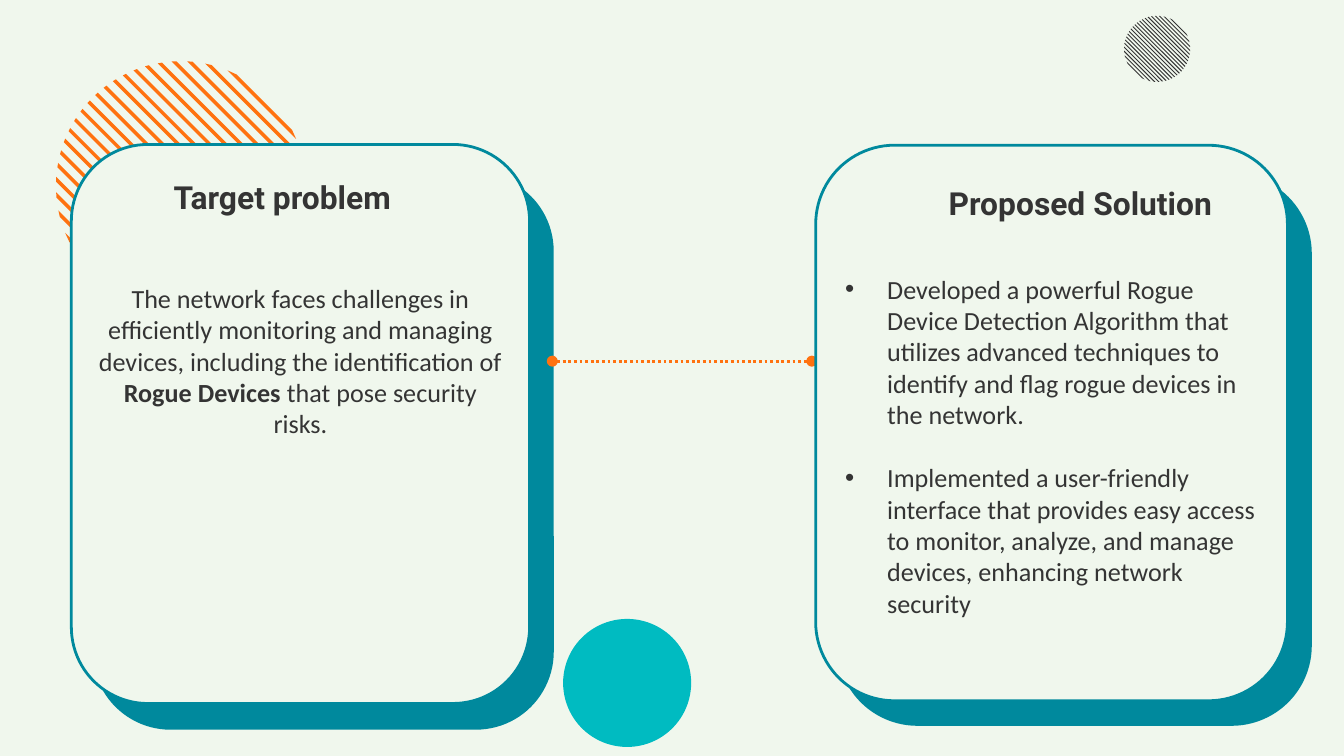
from math import sqrt
from lxml import etree
from pptx import Presentation
from pptx.dml.color import RGBColor
from pptx.enum.dml import MSO_LINE
from pptx.enum.shapes import MSO_CONNECTOR, MSO_SHAPE
from pptx.enum.text import PP_ALIGN
from pptx.oxml.ns import qn
from pptx.util import Pt

INK, TEAL, PALE, ORANGE = "343434", "00899D", "F0F7ED", "FF7210"


def paint(shape, color, edge=None):
    shape.shadow.inherit = False
    shape.fill.solid()
    shape.fill.fore_color.rgb = RGBColor.from_string(color)
    if edge:
        shape.line.color.rgb = RGBColor.from_string(edge)
        shape.line.width = Pt(1.5)
    else:
        shape.line.fill.background()


def write(box, paras, face, size, align, bold=False):
    frame = slide.shapes.add_textbox(*map(Pt, box)).text_frame
    frame.word_wrap = True
    frame.margin_left = frame.margin_right = Pt(7.2)
    frame.margin_top = frame.margin_bottom = Pt(7.2)
    for i, text in enumerate(paras):
        para = frame.add_paragraph() if i else frame.paragraphs[0]
        para.alignment = align
        if i:
            para.space_before = Pt(17)
        if len(paras) > 1:
            props = para._p.get_or_add_pPr()
            props.set("marL", str(Pt(22.5)))
            props.set("indent", str(-Pt(22.5)))
            tint = etree.SubElement(props, qn("a:buClr"))
            etree.SubElement(tint, qn("a:srgbClr"), val=INK)
            etree.SubElement(props, qn("a:buFont"), typeface="Arial")
            etree.SubElement(props, qn("a:buChar"), char="•")
        font = para.font
        font.name, font.size, font.bold = face, Pt(size), bold
        font.color.rgb = RGBColor.from_string(INK)
        for j, part in enumerate(text.split("**")):
            run = para.add_run()
            run.text = part
            if j % 2:
                run.font.bold = True


deck = Presentation()
deck.slide_width, deck.slide_height = Pt(720), Pt(405)
slide = deck.slides.add_slide(deck.slide_layouts[6])
slide.background.fill.solid()
slide.background.fill.fore_color.rgb = RGBColor.from_string(PALE)

disc = slide.shapes.add_shape(MSO_SHAPE.OVAL, Pt(301.7), Pt(331.6), Pt(68.6), Pt(68.6))
paint(disc, "00BBC1")

for x, y, r, color in [(619.9, 26.2, 17.7, INK), (96.8, 99.6, 66.8, ORANGE)]:
    group = slide.shapes.add_group_shape()
    for i in range(22):
        mid = (i - 10.5) * 0.126 * r
        ends = []
        for off, signs in [(mid - 0.02 * r, (-1, 1)), (mid + 0.02 * r, (1, -1))]:
            half = sqrt(r * r - off * off / 2) / sqrt(2)
            for sign in signs:
                ends.append((Pt(x + off / 2 + sign * half), Pt(y - off / 2 + sign * half)))
        path = group.shapes.build_freeform(*ends[0])
        path.add_line_segments(ends[1:], close=True)
        paint(path.convert_to_shape(), color)

cards = [
    [(50.4, 93.6, 245.5, 296.6, TEAL), (38.2, 77.4, 245.5, 299.5, PALE)],
    [(449.3, 93.6, 252.7, 294.5, TEAL), (437, 77.8, 252.7, 297.6, PALE)],
]
for i, pair in enumerate(cards):
    if i:
        link = slide.shapes.add_connector(
            MSO_CONNECTOR.STRAIGHT, Pt(295.9), Pt(193.5), Pt(434.9), Pt(193.5))
        link.line.color.rgb = RGBColor.from_string(ORANGE)
        link.line.width = Pt(1.5)
        link.line.dash_style = MSO_LINE.ROUND_DOT
        stroke = link.line._get_or_add_ln()
        for end in ("a:headEnd", "a:tailEnd"):
            etree.SubElement(stroke, qn(end), type="oval")
        etree.SubElement(link._element.spPr, qn("a:effectLst"))
    for left, top, width, height, color in pair:
        card = slide.shapes.add_shape(
            MSO_SHAPE.ROUNDED_RECTANGLE, Pt(left), Pt(top), Pt(width), Pt(height))
        card.adjustments[0] = 0.167
        paint(card, color, TEAL)

for box, text in [((70.6, 87.8, 161.3, 28.8), "Target problem"),
                  ((498.2, 91.4, 161.3, 28.8), "Proposed Solution")]:
    write(box, [text], "Roboto", 17, PP_ALIGN.CENTER, True)

write((45.4, 144, 231.1, 156.2), [
    "The network faces challenges in efficiently monitoring and managing devices, "
    "including the identification of **Rogue Devices **that pose security risks.",
], "Calibri", 14, PP_ALIGN.CENTER)
write((445.7, 139, 239, 195.8), [
    "Developed a powerful Rogue Device Detection Algorithm that utilizes advanced "
    "techniques to identify and flag rogue devices in the network.",
    "Implemented a user-friendly interface that provides easy access to monitor, "
    "analyze, and manage devices, enhancing network security",
], "Calibri", 14, PP_ALIGN.LEFT)

deck.save("out.pptx")
